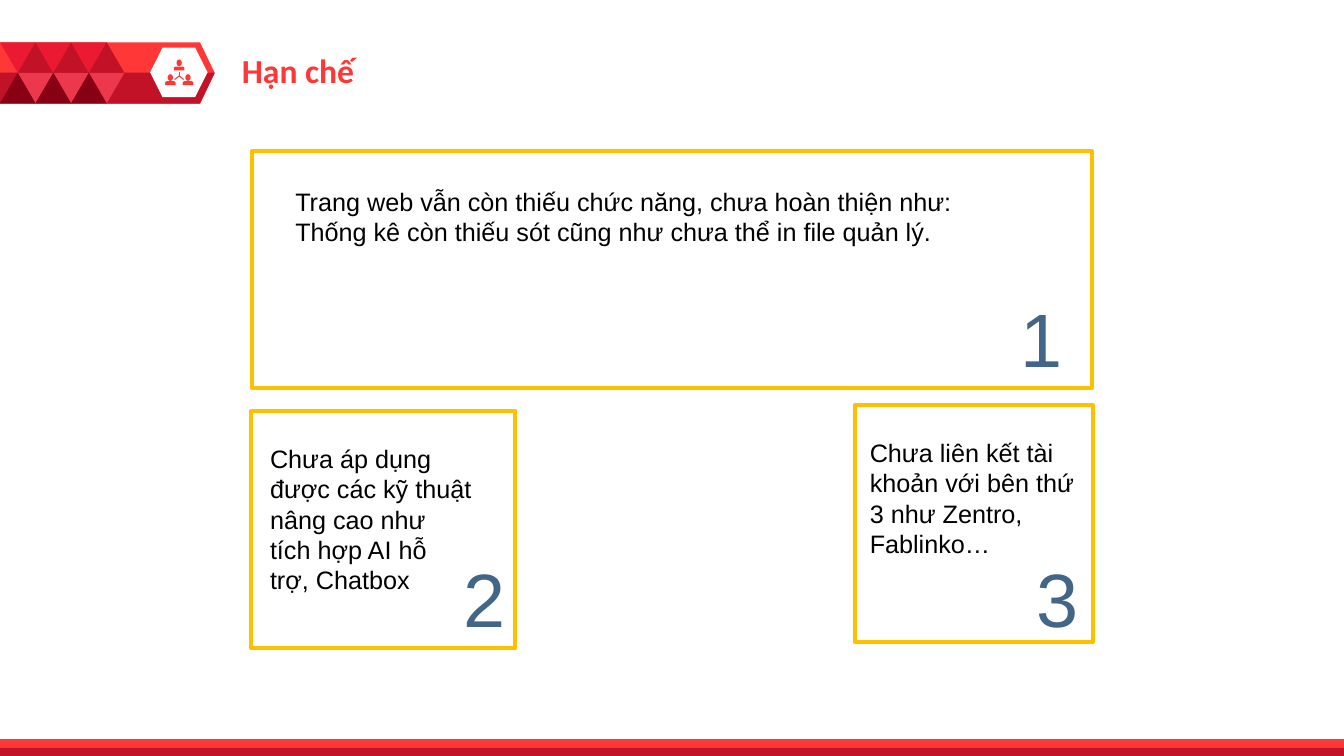
from pptx import Presentation
from pptx.dml.color import RGBColor
from pptx.enum.shapes import MSO_CONNECTOR, MSO_SHAPE
from pptx.enum.text import MSO_AUTO_SIZE, PP_ALIGN
from pptx.oxml.ns import qn
from pptx.util import Pt

RECT, OVAL = MSO_SHAPE.RECTANGLE, MSO_SHAPE.OVAL
TRIANGLE, HEXAGON = MSO_SHAPE.ISOSCELES_TRIANGLE, MSO_SHAPE.HEXAGON
HOME_PLATE, ROUND_TOP = MSO_SHAPE.PENTAGON, MSO_SHAPE.ROUND_2_SAME_RECTANGLE
STRAIGHT = MSO_CONNECTOR.STRAIGHT
LEFT, RIGHT = PP_ALIGN.LEFT, PP_ALIGN.RIGHT
GROW = MSO_AUTO_SIZE.SHAPE_TO_FIT_TEXT

COLORS = {
    "red": "FF3737", "dark": "C21227", "bright": "EB1932", "rose": "ED374D",
    "maroon": "880014", "white": "FFFFFF", "black": "000000",
    "gold": "FFC000", "blue": "426687",
}


class SlideBuilder:
    """Draws styled elements on one slide, with lengths in points."""

    def __init__(self, slide):
        self.shapes = slide.shapes

    def color(self, name):
        return RGBColor.from_string(COLORS[name])

    def paint(self, s, fill):
        s.shadow.inherit = False
        s.fill.solid()
        s.fill.fore_color.rgb = self.color(fill)
        s.line.fill.background()

    def shape(self, kind, x, y, w, h, fill, adj=None, rotation=0):
        s = self.shapes.add_shape(kind, Pt(x), Pt(y), Pt(w), Pt(h))
        self.paint(s, fill)
        s.rotation = rotation
        if adj is not None:
            s.adjustments[0] = adj

    def polygon(self, points, fill):
        start, *rest = [(Pt(x), Pt(y)) for x, y in points]
        fb = self.shapes.build_freeform(*start)
        fb.add_line_segments(rest, close=True)
        self.paint(fb.convert_to_shape(), fill)

    def frame(self, x, y, w, h):
        s = self.shapes.add_shape(RECT, Pt(x), Pt(y), Pt(w), Pt(h))
        s.shadow.inherit = False
        s.fill.background()
        s.line.color.rgb = self.color("gold")
        s.line.width = Pt(3)

    def line(self, x1, y1, x2, y2, color, width):
        c = self.shapes.add_connector(STRAIGHT, Pt(x1), Pt(y1), Pt(x2), Pt(y2))
        c.line.color.rgb = self.color(color)
        c.line.width = Pt(width)
        sp_pr = c._element.spPr
        sp_pr.append(sp_pr.makeelement(qn("a:effectLst"), {}))

    def text(self, x, y, w, h, text, size=18, color="black",
             font="Arial", bold=False, align=LEFT):
        s = self.shapes.add_textbox(Pt(x), Pt(y), Pt(w), Pt(h))
        tf = s.text_frame
        tf.word_wrap = True
        tf.auto_size = GROW
        p = tf.paragraphs[0]
        p.text = text
        p.alignment = align
        p.font.size = Pt(size)
        p.font.name = font
        p.font.bold = bold
        p.font.color.rgb = self.color(color)

    def person(self, cx, y):
        self.shape(OVAL, cx - 1.9, y, 3.8, 4.8, "red")
        self.shape(ROUND_TOP, cx - 3.8, y + 5, 7.6, 2.8, "red", adj=0.5)


def draw_banner(b):
    top, middle, bottom = 30.2, 52, 74
    b.shape(HOME_PLATE, 0, top, 153.4, 43.9, "red", adj=0.24)
    b.polygon([(0, middle), (153.4, middle), (142.9, bottom), (0, bottom)], "dark")
    b.shape(HEXAGON, 107.3, 34, 41, 35.4, "white", adj=0.25)

    hub = (128, 54.2)
    for end in [(128, 51.2), (124.8, 56.8), (131.2, 56.8)]:
        b.line(*hub, *end, "red", 0.75)
    for cx, y in [(128, 42.5), (121.7, 53), (134.3, 53)]:
        b.person(cx, y)

    w, h = 25.4, 21.8
    for col in range(3):
        x = col * w
        b.shape(TRIANGLE, x, top, w, h, "bright", rotation=180)
        b.shape(TRIANGLE, x + w / 2, top, w, h, "dark")
        b.shape(TRIANGLE, x + w / 2, middle, w, h, "rose", rotation=180)
        b.shape(TRIANGLE, x, middle, w, h, "maroon")


def main():
    prs = Presentation()
    prs.slide_width, prs.slide_height = Pt(960), Pt(540)
    b = SlideBuilder(prs.slides.add_slide(prs.slide_layouts[6]))

    draw_banner(b)
    b.shape(RECT, 0, 528, 960, 11.5, "red")
    b.shape(RECT, 0, 534.2, 960, 5.8, "dark")
    b.text(165.6, 32.4, 303.8, 36, "Hạn chế", 24, "red", "Calibri", bold=True)

    cards = [
        ((180, 108, 599.8, 169.2), (203.8, 129.6, 498.2, 51), (648, 205.2),
         "Trang web vẫn còn thiếu chức năng, chưa hoàn thiện như: "
         "Thống kê còn thiếu sót cũng như chưa thể in file quản lý."),
        ((179.3, 293.8, 188.6, 169.2), (185.8, 313.2, 158.4, 116.6), (249.8, 391),
         "Chưa áp dụng được các kỹ thuật nâng cao như tích hợp AI hỗ trợ, Chatbox"),
        ((610.6, 289.4, 169.9, 169.2), (614.2, 308.9, 169.9, 94.3), (659.5, 391),
         "Chưa liên kết tài khoản với bên thứ 3 như Zentro, Fablinko…"),
    ]
    for number, (frame, body, corner, text) in enumerate(cards, 1):
        b.frame(*frame)
        b.text(*body, text)
        b.text(*corner, 118, 72.7, str(number), 54, "blue", align=RIGHT)

    prs.save("out.pptx")


if __name__ == "__main__":
    main()
